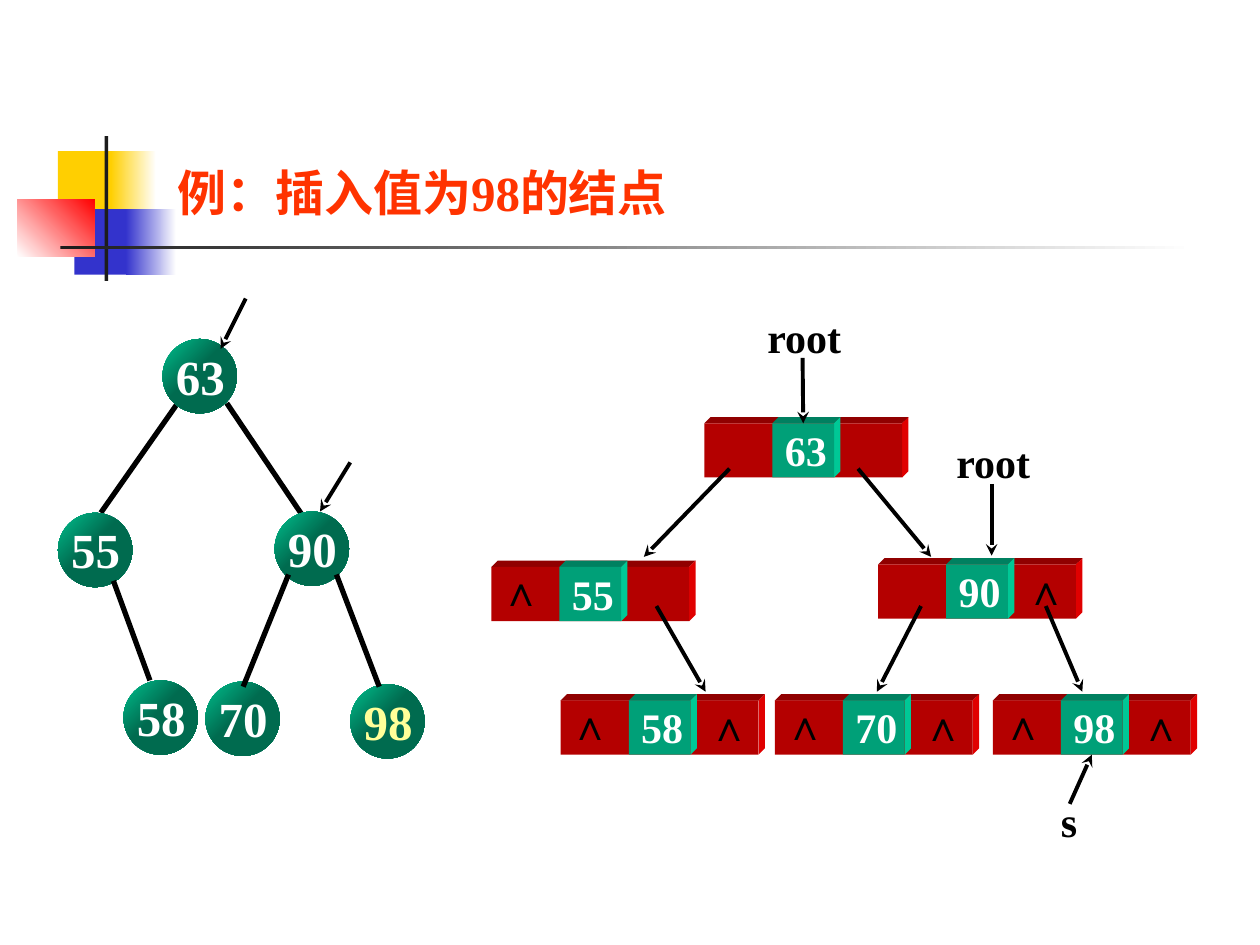
from typing import NamedTuple

import pptx
import pptx.dml.color
import pptx.enum.shapes
import pptx.enum.text
import pptx.oxml
import pptx.oxml.ns
import pptx.util

Inches = pptx.util.Inches
Shape = pptx.enum.shapes.MSO_SHAPE
Align = pptx.enum.text.PP_ALIGN
Anchor = pptx.enum.text.MSO_ANCHOR
FONT = "Times New Roman"
DEPTH = 0.05
NODE_W, CELL_W, BOX_H, CELL_DX = 1.57, 0.49, 0.43, 0.54
DISC = 0.59


class Trim(NamedTuple):
    x: float
    y: float
    w: float
    h: float
    hue: str
    end: str = ""
    angle: float = 0


class Disc(NamedTuple):
    x: float
    y: float
    key: str
    hue: str = "FFFFFF"


class Node(NamedTuple):
    x: float
    y: float
    key: str
    left: bool = True  # empty left link
    right: bool = True  # empty right link


class Tone(NamedTuple):
    front: str
    top: str
    side: str


class Line(NamedTuple):
    x1: float
    y1: float
    x2: float
    y2: float


RED = Tone("B40000", "900000", "E00000")
GREEN = Tone("00A078", "008060", "00C896")

TRIMS = [
    Trim(0.46, 1.2, 0.48, 0.52, "FFCF01"),
    Trim(0.88, 1.2, 0.36, 0.52, "FFCF01", "FFFFFF"),
    Trim(0.59, 1.66, 0.46, 0.52, "3333CC"),
    Trim(1, 1.66, 0.4, 0.52, "3333CC", "FFFFFF"),
    Trim(0.14, 1.58, 0.61, 0.46, "FFFFFF", "FF0000", 45),
    Trim(0.83, 1.08, 0.03, 1.15, "1C1C1C"),
    Trim(0.48, 1.95, 9, 0.03, "1C1C1C", "FFFFFF"),
]
DISCS = [
    Disc(1.29, 2.69, "63"), Disc(0.46, 4.07, "55"), Disc(2.18, 4.06, "90"),
    Disc(0.98, 5.4, "58"), Disc(1.63, 5.41, "70"),
    Disc(2.78, 5.43, "98", "FFFF99"),
]
UPPER = [Line(1.41, 3.2, 0.8, 4.07), Line(1.8, 3.2, 2.42, 4.12)]
LOWER = [
    Line(0.9, 4.61, 1.19, 5.4), Line(2.29, 4.56, 1.93, 5.45),
    Line(2.67, 4.56, 3.01, 5.45),
]
NODES = [
    Node(5.59, 3.36, "63", False, False), Node(3.9, 4.5, "55", True, False),
    Node(6.97, 4.48, "90", False, True), Node(4.45, 5.56, "58"),
    Node(6.15, 5.56, "70"), Node(7.88, 5.56, "98"),
]
ARROWS = [
    Line(1.95, 2.37, 1.75, 2.77), Line(2.78, 3.67, 2.54, 4.06),
    Line(5.79, 3.72, 5.11, 4.42), Line(6.81, 3.72, 7.39, 4.42),
    Line(5.21, 4.81, 5.6, 5.49), Line(7.31, 4.81, 6.96, 5.49),
    Line(8.3, 4.81, 8.59, 5.49), Line(7.87, 3.84, 7.87, 4.41),
]


def rgb(code: str):
    return pptx.dml.color.RGBColor.from_string(code)


def paint(shape, hue: str, end: str = "", angle: float = 0, stop: float = 1):
    """Fill a shape plainly, or with a gradient when an end colour is given."""
    shape.shadow.inherit = False
    shape.line.fill.background()
    if not end:
        shape.fill.solid()
        shape.fill.fore_color.rgb = rgb(hue)
        return
    shape.fill.gradient()
    shape.fill.gradient_angle = angle
    first, last = shape.fill.gradient_stops
    first.color.rgb, last.color.rgb = rgb(hue), rgb(end)
    first.position, last.position = 0, stop


def block(shapes, kind, x: float, y: float, w: float, h: float):
    return shapes.add_shape(kind, Inches(x), Inches(y), Inches(w), Inches(h))


def write(shape, text: str, size=24, hue="000000", align=Align.JUSTIFY,
          pad=(0, 0, 0, 0), anchor=Anchor.MIDDLE):
    frame = shape.text_frame
    frame.word_wrap = True
    frame.vertical_anchor = anchor
    (frame.margin_left, frame.margin_top,
     frame.margin_right, frame.margin_bottom) = map(Inches, pad)
    para = frame.paragraphs[0]
    para.alignment = align
    run = para.add_run()
    run.text = text
    run.font.name, run.font.size = FONT, pptx.util.Pt(size)
    run.font.bold = True
    run.font.color.rgb = rgb(hue)


def label(shapes, x: float, y: float, w: float, h: float, text: str, **form):
    box = shapes.add_textbox(Inches(x), Inches(y), Inches(w), Inches(h))
    write(box, text, **form)


def link(shapes, line: Line, width: float = 2.25, head: bool = True):
    ends = [Inches(v) for v in line]
    wire = shapes.add_connector(pptx.enum.shapes.MSO_CONNECTOR.STRAIGHT, *ends)
    wire.line.width = pptx.util.Pt(width)
    wire.line.color.rgb = rgb("000000")
    space = pptx.oxml.ns.nsdecls("a")
    if head:
        wire.line._get_or_add_ln().append(
            pptx.oxml.parse_xml(f'<a:tailEnd {space} type="stealth"/>'))
    wire._element.spPr.append(pptx.oxml.parse_xml(f"<a:effectLst {space}/>"))
    return wire


def slab(shapes, x: float, y: float, w: float, tone: Tone):
    """Draw a raised box with its top and right faces."""
    d, r, b = DEPTH, x + w, y + BOX_H
    top = [(x, y), (x + d, y - d), (r + d, y - d), (r, y)]
    side = [(r, y), (r + d, y - d), (r + d, b - d), (r, b)]
    for points, hue in ((top, tone.top), (side, tone.side)):
        spots = [(Inches(px), Inches(py)) for px, py in points]
        face = shapes.build_freeform(*spots[0])
        face.add_line_segments(spots[1:], close=True)
        paint(face.convert_to_shape(), hue)
    front = block(shapes, Shape.RECTANGLE, x, y, w, BOX_H)
    paint(front, tone.front)
    return front


def draw_disc(shapes, disc: Disc):
    ball = block(shapes, Shape.OVAL, disc.x, disc.y, DISC, DISC)
    paint(ball, "00C08E", "006B4F", 315, 0.45)
    label(shapes, disc.x + 0.1, disc.y + 0.05, 0.4, 0.52, disc.key, size=28,
          hue=disc.hue, align=Align.CENTER, pad=(0, 0, 0, 0.04))


def draw_node(shapes, node: Node):
    slab(shapes, node.x, node.y, NODE_W, RED)
    cell = slab(shapes, node.x + CELL_DX, node.y, CELL_W, GREEN)
    write(cell, node.key, hue="FFFFFF", pad=(0.1, 0, 0.02, 0.01))
    for empty, dx, dy in ((node.left, -0.01, -0.02), (node.right, 1.09, -0.01)):
        if empty:
            label(shapes, node.x + dx, node.y + dy, 0.46, 0.4, "∧",
                  align=Align.CENTER, pad=(0.06, 0.01, 0.02, 0.01))
    return cell


def main():
    deck = pptx.Presentation()
    deck.slide_width, deck.slide_height = Inches(10), Inches(7.5)
    shapes = deck.slides.add_slide(deck.slide_layouts[6]).shapes

    # Corner squares, rule and title
    for trim in TRIMS:
        part = block(shapes, Shape.RECTANGLE, *trim[:4])
        paint(part, trim.hue, trim.end, trim.angle)
    label(shapes, 1.41, 1.24, 4.37, 0.57, "例：插入值为98的结点", size=28,
          hue="FF3300", align=Align.LEFT, pad=(0, 0.05, 0, 0.05),
          anchor=Anchor.TOP)

    # Tree of keys
    for line in UPPER:
        link(shapes, line, 3, False)
    for disc in DISCS:
        draw_disc(shapes, disc)
    for line in LOWER:
        link(shapes, line, 3, False)

    # Linked nodes and their pointers
    cells = {node.key: draw_node(shapes, node) for node in NODES}
    for line in ARROWS:
        link(shapes, line)
    link(shapes, Line(6.37, 2.84, 6.37, 3.36)).end_connect(cells["63"], 0)
    link(shapes, Line(8.49, 6.38, 8.67, 5.99)).end_connect(cells["98"], 2)
    for x, y, w, name in ((6.07, 2.44, 0.64, "root"), (7.57, 3.43, 0.64, "root"),
                          (8.4, 6.28, 0.3, "s")):
        label(shapes, x, y, w, 0.47, name, pad=(0.02, 0, 0.02, 0))

    deck.save("out.pptx")


if __name__ == "__main__":
    main()
